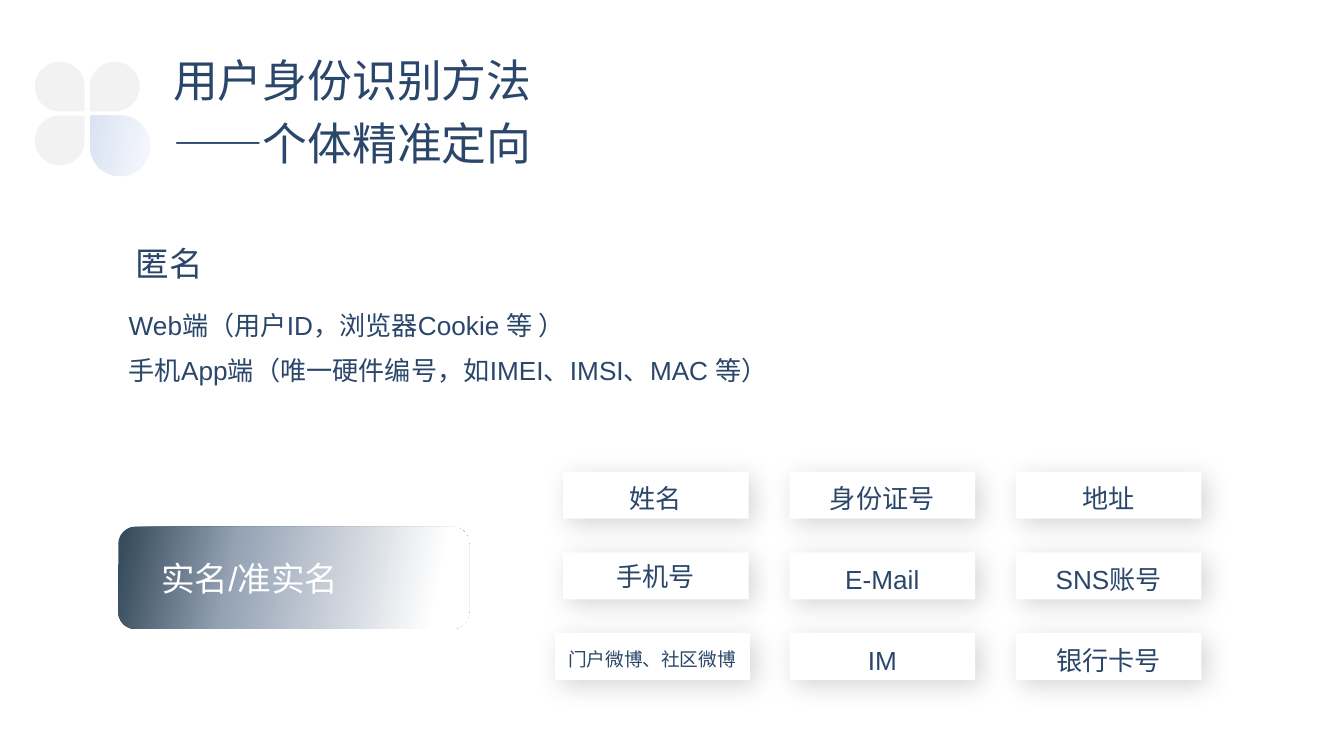
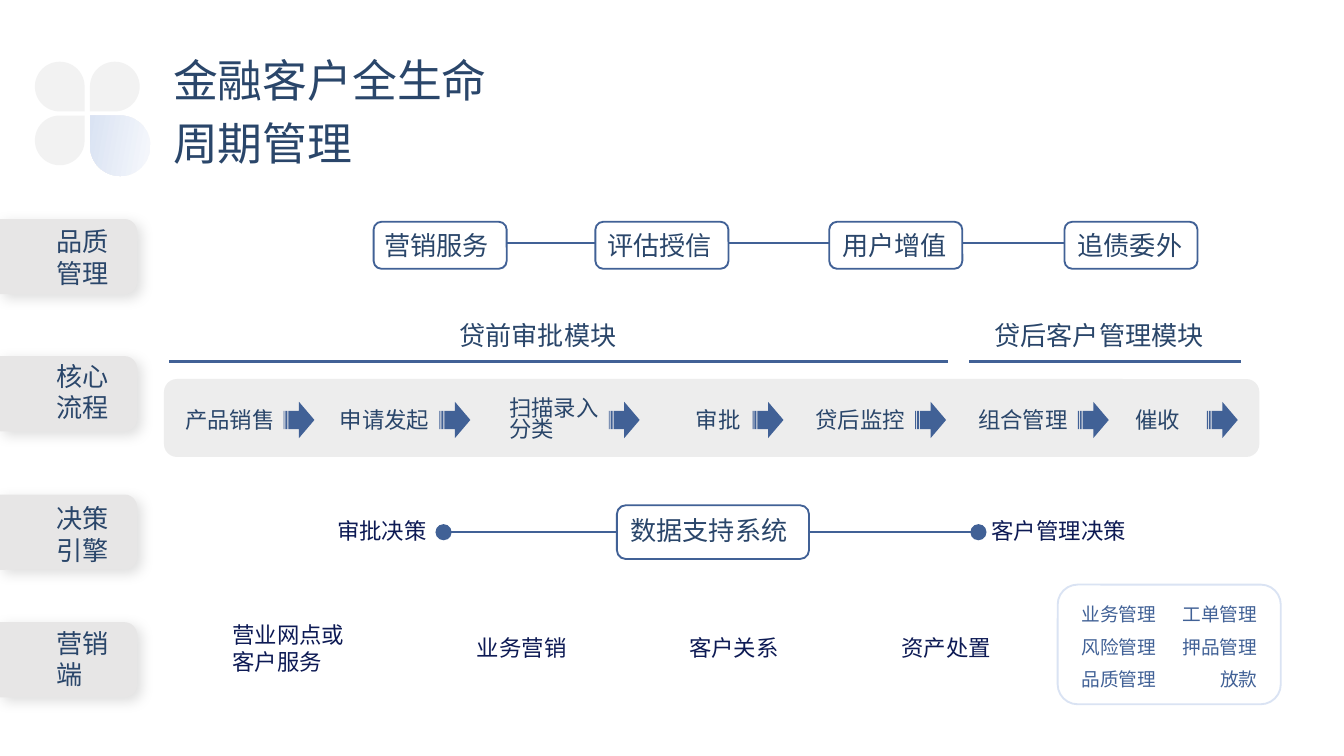
from lxml import etree
from pptx import Presentation
from pptx.dml.color import RGBColor
from pptx.enum.shapes import MSO_CONNECTOR, MSO_SHAPE as Preset
from pptx.enum.text import MSO_ANCHOR as Anchor, PP_ALIGN as Align
from pptx.oxml.ns import qn
from pptx.util import Inches, Pt

FONT = "Arial"
NAVY = RGBColor(0x2A, 0x46, 0x6A)
INDIGO = RGBColor(0x0D, 0x1A, 0x54)
BLUE = RGBColor(0x41, 0x61, 0x96)
PALE_BLUE = RGBColor(0xDA, 0xE3, 0xF3)
ICE = RGBColor(0xF6, 0xF8, 0xFC)
WHITE = RGBColor(0xFF, 0xFF, 0xFF)
PETAL_GRAY = RGBColor(0xF2, 0xF2, 0xF2)
TAB_GRAY = RGBColor(0xE7, 0xE6, 0xE6)
BAND_GRAY = RGBColor(0xED, 0xED, 0xED)
SLATE = RGBColor(0x37, 0x4C, 0x5D)
STEEL = RGBColor(0x95, 0xA3, 0xB5)

# Gradients: (stops as (percent, colour), angle in degrees)
PETAL_GRADIENT = ([(0, ICE), (100, PALE_BLUE)], 350)
BANNER_GRADIENT = ([(2, SLATE), (33, STEEL), (90, WHITE)], 11)
# Shadows: (opacity percent, blur points, distance points)
CARD_SHADOW = (16, 14, 4)
TAB_SHADOW = (13, 7, 3)

# Petals of the title flower: (left, top, size, flips, fill)
PETALS = [
    (0.26, 0.86, 0.37, "", PETAL_GRAY),
    (0.67, 0.46, 0.37, "HV", PETAL_GRAY),
    (0.26, 0.46, 0.37, "V", PETAL_GRAY),
    (0.67, 0.86, 0.45, "H", PETAL_GRADIENT),
]

# Slide 1
IDENTITY_TITLE = "用户身份识别方法\n——个体精准定向"
ANONYMOUS_HEADING = "匿名"
# (text, top, width)
ANONYMOUS_LINES = [
    ("Web端（用户ID，浏览器Cookie 等 ）", 2.21, 4.34),
    ("手机App端（唯一硬件编号，如IMEI、IMSI、MAC 等）", 2.54, 5.88),
]
REAL_NAME_HEADING = "实名/准实名"
REAL_NAME_CARDS = [
    ["姓名", "身份证号", "地址"],
    ["手机号", "E-Mail", "SNS账号"],
    ["门户微博、社区微博", "IM", "银行卡号"],
]

# Slide 2
LIFECYCLE_TITLE = "金融客户全生命\n周期管理"
# (label, tab top, label top, label width)
TABS = [
    ("品质管理", 1.63, 1.63, 0.65),
    ("核心流程", 2.65, 2.63, 0.65),
    ("决策引擎", 3.68, 3.69, 0.65),
    ("营销端", 4.63, 4.62, 0.71),
]
# (label, box left, label left, label width)
QUALITY_STEPS = [
    ("营销服务", 2.78, 2.76, 1.04),
    ("评估授信", 4.43, 4.42, 1.16),
    ("用户增值", 6.17, 6.17, 1.1),
    ("追债委外", 7.92, 7.92, 1.1),
]
# (label, label left, line start, line end)
MODULES = [
    ("贷前审批模块", 3.32, 1.26, 7.05),
    ("贷后客户管理模块", 7.3, 7.21, 9.23),
]
# (label, label left, arrow left)
PROCESS_STEPS = [
    ("产品销售", 1.28, 2.11),
    ("申请发起", 2.43, 3.27),
    ("扫描录入\n分类", 3.69, 4.53),
    ("审批", 5.08, 5.6),
    ("贷后监控", 5.97, 6.81),
    ("组合管理", 7.18, 8.02),
    ("催收", 8.35, 8.98),
]
DECISION_SYSTEM = "数据支持系统"
# (label, label left, label width, dot left, line start, line end)
DECISIONS = [
    ("审批决策", 2.41, 1.08, 3.24, 3.33, 4.6),
    ("客户管理决策", 7.28, 1.33, 7.22, 6.03, 7.3),
]
BRANCH_CHANNEL = "营业网点或客户服务"
CHANNELS = ["业务营销", "客户关系", "资产处置"]
# Columns of (label, left, width)
OPERATIONS = [
    [("业务管理", 7.95, 0.87), ("风险管理", 7.95, 0.87), ("品质管理", 7.95, 0.87)],
    [("工单管理", 8.7, 0.87), ("押品管理", 8.7, 0.94), ("放款", 8.98, 0.5)],
]


def write(shape, text, size, color, align=Align.LEFT, spacing=None, before=0):
    text_frame = shape.text_frame
    text_frame.word_wrap = True
    text_frame.text = text
    for index, paragraph in enumerate(text_frame.paragraphs):
        paragraph.alignment = align
        if spacing:
            paragraph.line_spacing = spacing
        if index and before:
            paragraph.space_before = Pt(before)
        for run in paragraph.runs:
            run.font.size = Pt(size)
            run.font.name = FONT
            run.font.color.rgb = color


def add_text(slide, text, left, top, width, height, size, color=NAVY, **style):
    box = slide.shapes.add_textbox(*map(Inches, (left, top, width, height)))
    write(box, text, size, color, **style)


def set_gradient(shape, stops, angle):
    shape.fill.gradient()
    gradient = shape._element.spPr.find(qn("a:gradFill"))
    stop_list = gradient.find(qn("a:gsLst"))
    for stop in list(stop_list):
        stop_list.remove(stop)
    for percent, color in stops:
        stop = etree.SubElement(stop_list, qn("a:gs"), pos=str(percent * 1000))
        etree.SubElement(stop, qn("a:srgbClr"), val=str(color))
    gradient.find(qn("a:lin")).set("ang", str(angle * 60000))


def set_shadow(shape, opacity, blur, distance):
    effects = shape._element.spPr.find(qn("a:effectLst"))
    shadow = etree.SubElement(
        effects, qn("a:outerShdw"), blurRad=str(Pt(blur)), dist=str(Pt(distance)),
        dir=str(45 * 60000), algn="tl", rotWithShape="0")
    color = etree.SubElement(shadow, qn("a:srgbClr"), val="000000")
    etree.SubElement(color, qn("a:alpha"), val=str(opacity * 1000))


def add_shape(slide, preset, left, top, width, height, fill=None, line=None, shadow=None):
    """Add a preset shape; fill is a colour, a gradient tuple or None."""
    shape = slide.shapes.add_shape(preset, *map(Inches, (left, top, width, height)))
    shape.shadow.inherit = False
    if fill is None:
        shape.fill.background()
    elif isinstance(fill, RGBColor):
        shape.fill.solid()
        shape.fill.fore_color.rgb = fill
    else:
        set_gradient(shape, *fill)
    if line is None:
        shape.line.fill.background()
    else:
        shape.line.color.rgb = line
        shape.line.width = Pt(1)
    if shadow:
        set_shadow(shape, *shadow)
    return shape


def add_line(slide, start, end, y, width=1):
    """Add a horizontal line."""
    line = slide.shapes.add_connector(
        MSO_CONNECTOR.STRAIGHT, Inches(start), Inches(y), Inches(end), Inches(y))
    line.line.color.rgb = BLUE
    line.line.width = Pt(width)
    etree.SubElement(line._element.spPr, qn("a:effectLst"))


def add_titled_slide(presentation, title):
    slide = presentation.slides.add_slide(presentation.slide_layouts[6])
    for left, top, size, flips, fill in PETALS:
        petal = add_shape(slide, Preset.TEAR, left, top, size, size, fill)
        for axis in flips:
            petal._element.spPr.find(qn("a:xfrm")).set("flip" + axis, "1")
    add_text(slide, title, 1.19, 0.39, 5.04, 0.86, 24, spacing=0.9, before=7.5)
    return slide


def build_identity_slide(presentation):
    slide = add_titled_slide(presentation, IDENTITY_TITLE)
    add_text(slide, ANONYMOUS_HEADING, 0.91, 1.7, 1.25, 0.43, 18, spacing=1.2)
    for line, top, width in ANONYMOUS_LINES:
        add_text(slide, line, 0.86, top, width, 0.36, 14, spacing=1.2)

    add_shape(slide, Preset.ROUNDED_RECTANGLE, 0.88, 3.92, 2.61, 0.76, BANNER_GRADIENT)
    add_text(slide, REAL_NAME_HEADING, 1.1, 4.04, 2.28, 0.43, 18, WHITE, spacing=1.2)

    for row, labels in enumerate(REAL_NAME_CARDS):
        for column, label in enumerate(labels):
            left, width, size, align = 4.19 + column * 1.685, 1.38, 14, Align.CENTER
            if len(label) > 6:
                left, width, size, align = left - 0.06, 1.45, 10, Align.LEFT
            card = add_shape(slide, Preset.RECTANGLE, left, 3.51 + row * 0.6, width, 0.35,
                             WHITE, shadow=CARD_SHADOW)
            card.text_frame.vertical_anchor = Anchor.MIDDLE
            spacing = None if label == "手机号" else 1.2
            write(card, label, size, NAVY, align, spacing)


def add_quality_row(slide):
    box_width = 0.99
    for label, left, label_left, label_width in QUALITY_STEPS:
        add_shape(slide, Preset.ROUNDED_RECTANGLE, left, 1.65, box_width, 0.35, line=BLUE)
        add_text(slide, label, label_left, 1.66, label_width, 0.34, 14)
    for step, next_step in zip(QUALITY_STEPS, QUALITY_STEPS[1:]):
        add_line(slide, step[1] + box_width, next_step[1], 1.81)


def add_process_row(slide):
    for label, label_left, start, end in MODULES:
        add_text(slide, label, label_left, 2.33, 2.35, 0.34, 14)
        add_line(slide, start, end, 2.69, 1.5)
    add_shape(slide, Preset.ROUNDED_RECTANGLE, 1.22, 2.82, 8.15, 0.58, BAND_GRAY)
    for label, left, arrow_left in PROCESS_STEPS:
        if "\n" in label:
            add_text(slide, label, left, 2.92, 0.9, 0.43, 12, spacing=0.8)
        else:
            add_text(slide, label, left, 2.97, 0.9, 0.3, 12)
        add_shape(slide, Preset.STRIPED_RIGHT_ARROW, arrow_left, 2.99, 0.23, 0.27, BLUE)


def add_decision_row(slide):
    add_shape(slide, Preset.ROUNDED_RECTANGLE, 4.59, 3.76, 1.43, 0.4, line=BLUE)
    add_text(slide, DECISION_SYSTEM, 4.1, 3.78, 2.35, 0.34, 14, align=Align.CENTER)
    for label, left, width, dot_left, start, end in DECISIONS:
        add_text(slide, label, left, 3.8, width, 0.3, 12, INDIGO)
        add_shape(slide, Preset.OVAL, dot_left, 3.9, 0.12, 0.12, BLUE)
        add_line(slide, start, end, 3.96)


def add_channel_row(slide):
    add_text(slide, BRANCH_CHANNEL, 1.63, 4.57, 1.08, 0.5, 12, INDIGO)
    for index, label in enumerate(CHANNELS):
        add_text(slide, label, 3.45 + index * 1.58, 4.67, 1.08, 0.3, 12, INDIGO)
    add_shape(slide, Preset.ROUNDED_RECTANGLE, 7.87, 4.35, 1.66, 0.89, line=PALE_BLUE)
    for column in OPERATIONS:
        for row, (label, left, width) in enumerate(column):
            add_text(slide, label, left, 4.44 + row * 0.24, width, 0.27, 10, BLUE)


def build_lifecycle_slide(presentation):
    slide = add_titled_slide(presentation, LIFECYCLE_TITLE)
    tab_length, tab_height = 1.02, 0.56
    shift = (tab_length - tab_height) / 2
    for label, tab_top, label_top, label_width in TABS:
        tab = add_shape(slide, Preset.ROUND_2_SAME_RECTANGLE, shift, tab_top - shift,
                        tab_height, tab_length, TAB_GRAY, shadow=TAB_SHADOW)
        tab.rotation = 90
        add_text(slide, label, 0.32, label_top, label_width, 0.57, 14)
    add_quality_row(slide)
    add_process_row(slide)
    add_decision_row(slide)
    add_channel_row(slide)


def main():
    presentation = Presentation()
    presentation.slide_width = Inches(10)
    presentation.slide_height = Inches(10) * 9 // 16
    build_identity_slide(presentation)
    build_lifecycle_slide(presentation)
    presentation.save("out.pptx")


if __name__ == "__main__":
    main()
